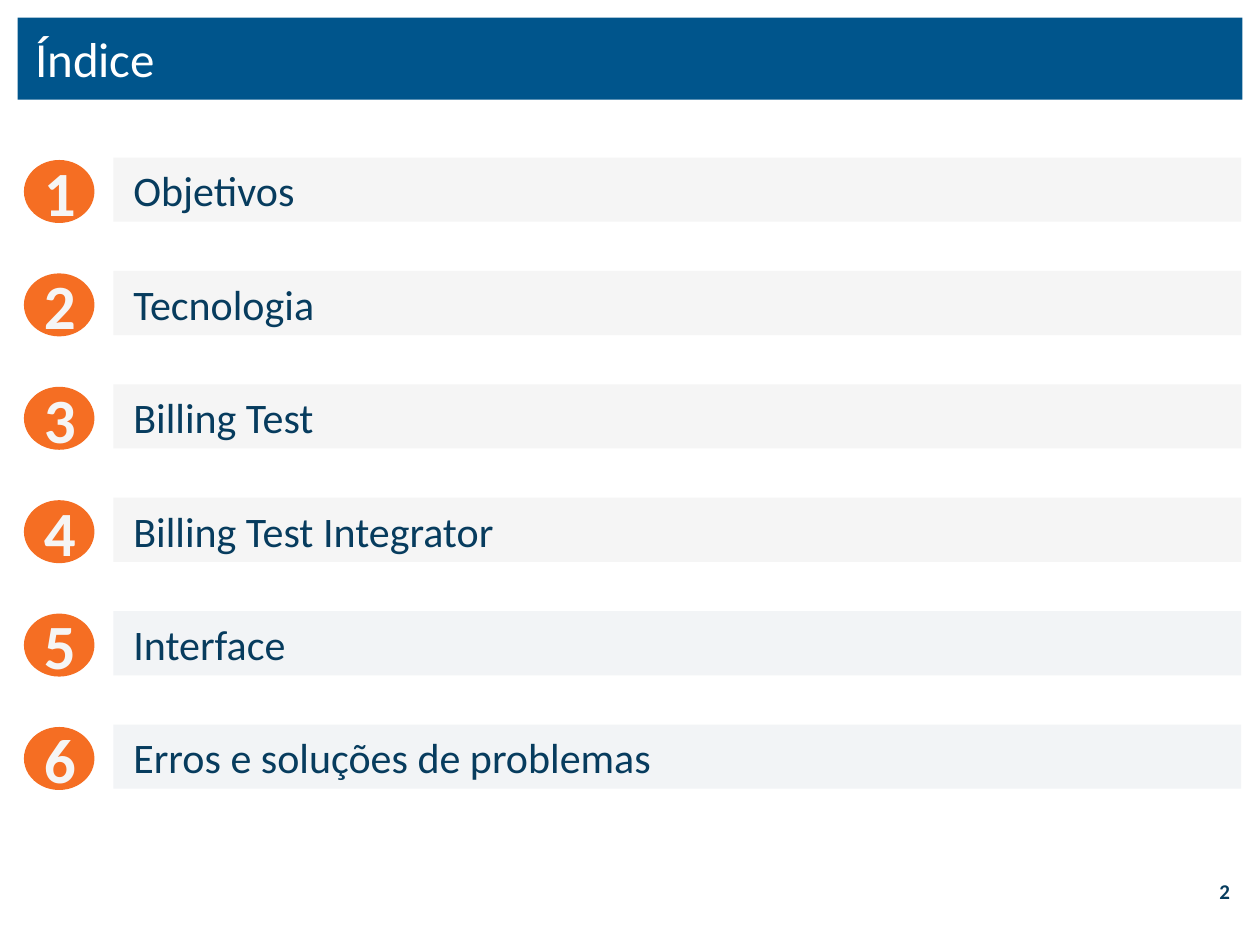
from lxml import etree
from pptx import Presentation
from pptx import util as u
from pptx.dml import color
from pptx.enum import shapes, text

WIDTH, HEIGHT = 10, 7.5
FIRST_ROW, ROW_PITCH = 1.25, 0.9
FONT = "Calibri"
BLUE, NAVY, ORANGE = "00558C", "073C5E", "F56E23"
WHITE, LIGHT, COOL = "FFFFFF", "F5F5F5", "F2F4F6"

TOPICS = [
    ("Objetivos", LIGHT),
    ("Tecnologia", LIGHT),
    ("Billing Test", LIGHT),
    ("Billing Test Integrator", LIGHT),
    ("Interface", COOL),
    ("Erros e soluções de problemas", COOL),
]


def rgb(code):
    return color.RGBColor.from_string(code)


def inches(box):
    return [u.Inches(length) for length in box]


def add_block(slide, kind, box, fill):
    block = slide.shapes.add_shape(kind, *inches(box))
    block.shadow.inherit = False
    block.fill.solid()
    block.fill.fore_color.rgb = rgb(fill)
    block.line.fill.background()


def add_label(slide, words, box, size, ink, bold=False, align=text.PP_ALIGN.LEFT,
              anchor=text.MSO_ANCHOR.TOP, after=30):
    frame = slide.shapes.add_textbox(*inches(box)).text_frame
    frame.word_wrap = True
    frame.vertical_anchor = anchor
    frame.text = words
    line = frame.paragraphs[0]
    line.alignment = align
    line.line_spacing = 0.85
    line.space_after = u.Pt(after)
    font = line.runs[0].font
    font.name, font.size, font.bold = FONT, u.Pt(size), bold
    font.color.rgb = rgb(ink)


def add_topic(slide, number, topic, band):
    top = FIRST_ROW + (number - 1) * ROW_PITCH
    add_block(slide, shapes.MSO_SHAPE.RECTANGLE, (0.9, top, 8.95, 0.51), band)
    add_block(slide, shapes.MSO_SHAPE.OVAL, (0.19, top + 0.02, 0.56, 0.5), ORANGE)
    add_label(slide, str(number), (0.16, top + 0.01, 0.63, 0.62), 36, LIGHT,
              bold=True, align=text.PP_ALIGN.CENTER)
    add_label(slide, topic, (0.96, top + 0.07, 6.39, 0.45), 24, NAVY)


def main():
    deck = Presentation()
    deck.slide_width, deck.slide_height = inches((WIDTH, HEIGHT))
    slide = deck.slides.add_slide(deck.slide_layouts[6])

    add_block(slide, shapes.MSO_SHAPE.RECTANGLE, (0.14, 0.14, 9.72, 0.65), BLUE)
    add_label(slide, "Índice", (0.18, 0.25, 9.66, 0.5), 28, WHITE, after=7)
    for number, (topic, band) in enumerate(TOPICS, start=1):
        add_topic(slide, number, topic, band)
    add_label(slide, "2", (8.95, 6.89, 0.91, 0.4), 12, NAVY, bold=True,
              align=text.PP_ALIGN.RIGHT, anchor=text.MSO_ANCHOR.MIDDLE, after=7)

    deck.save("out.pptx")


if __name__ == "__main__":
    main()
